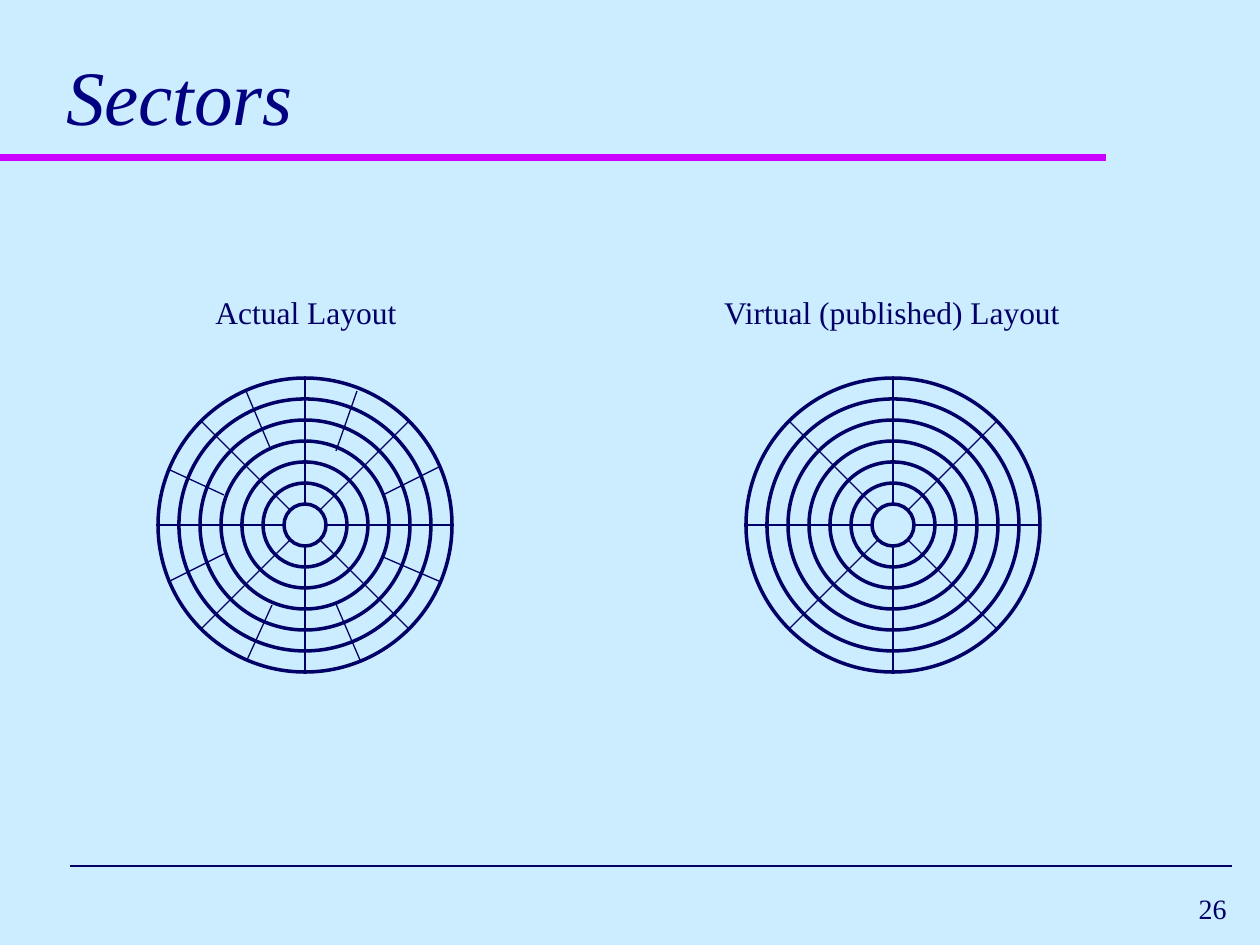
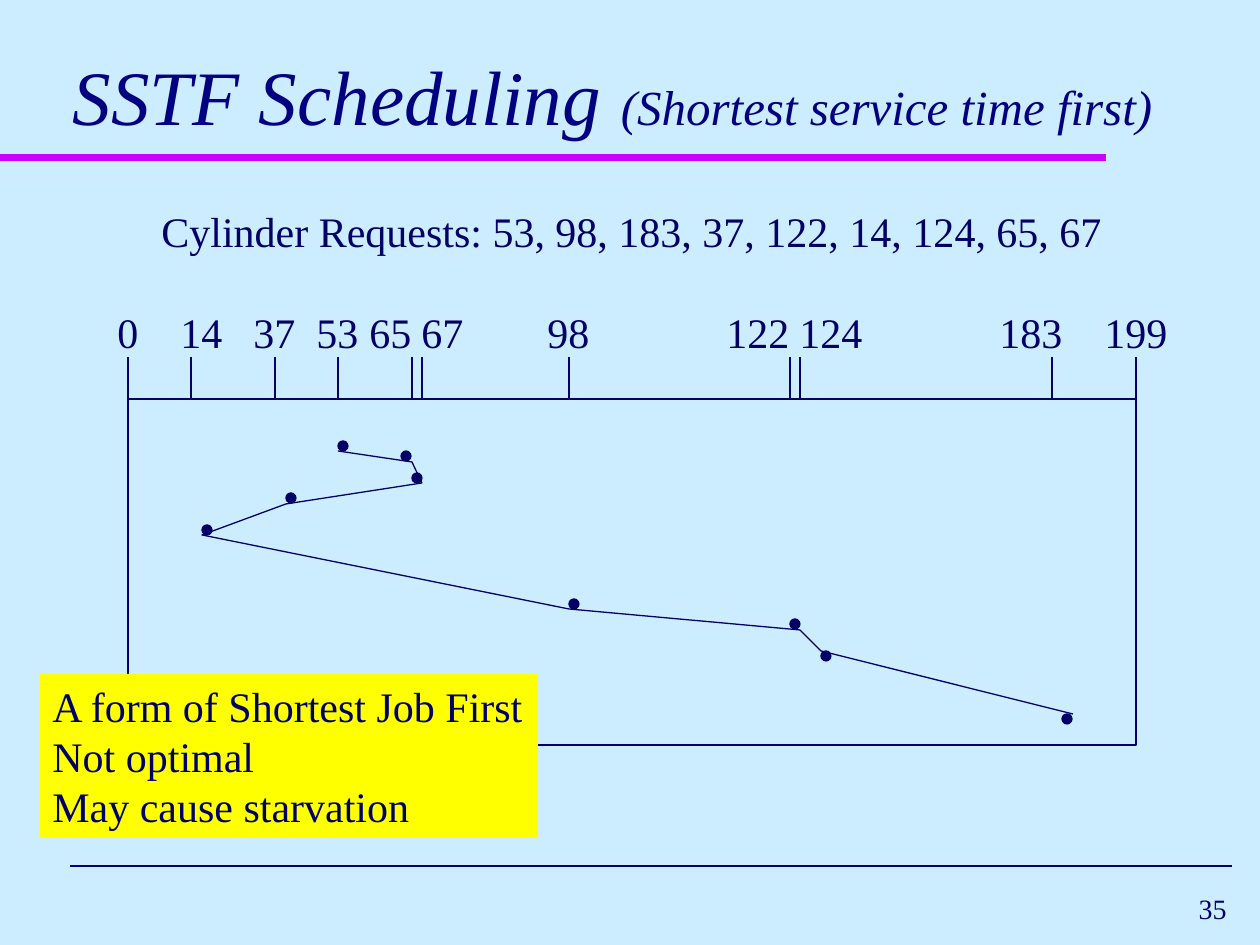
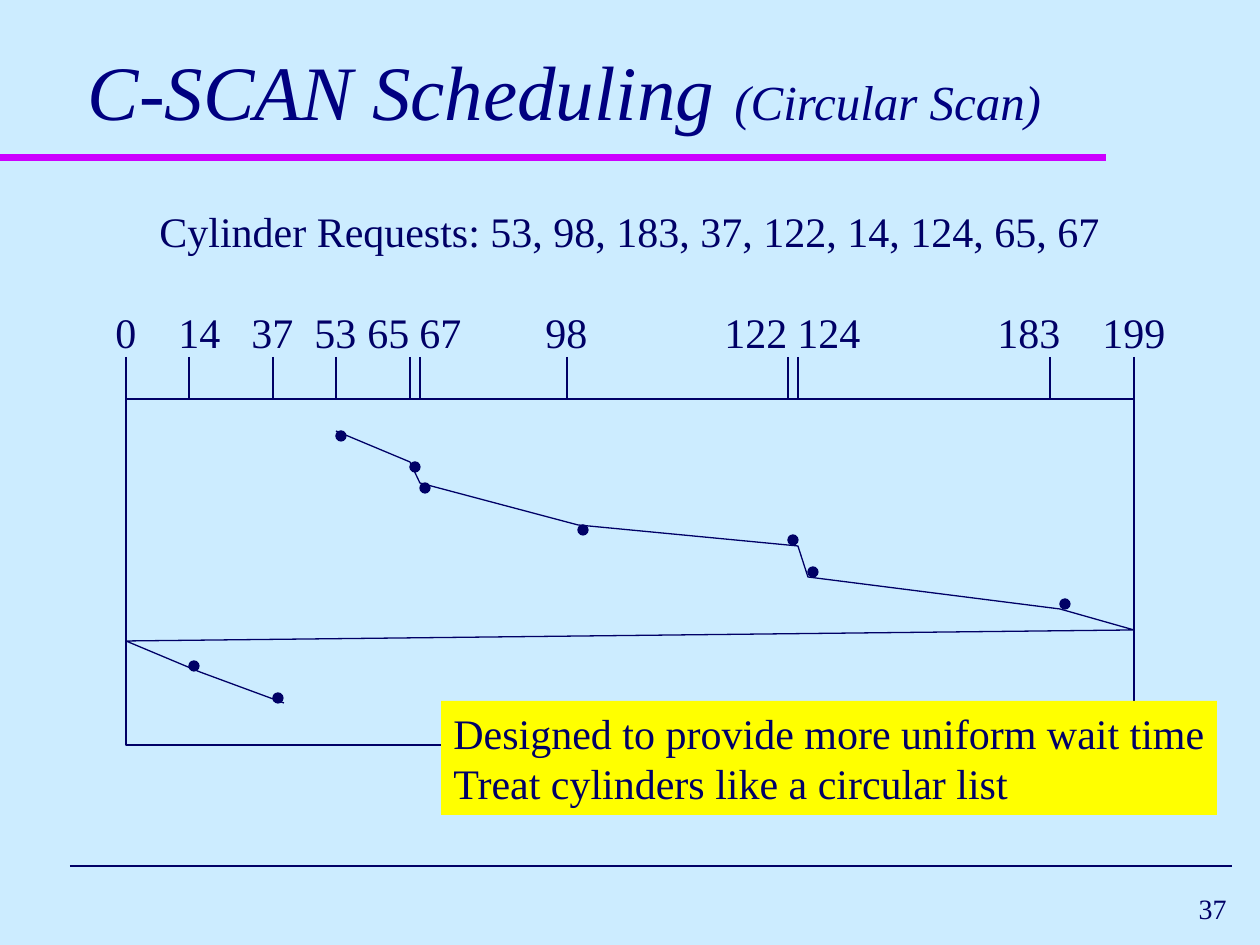
"""Build three slides on disk sectors and disk-arm scheduling."""
from dataclasses import dataclass
from math import cos, pi, sin

from lxml import etree
from pptx import Presentation
from pptx.dml.color import RGBColor
from pptx.enum.shapes import MSO_CONNECTOR, MSO_SHAPE
from pptx.enum.text import MSO_ANCHOR, PP_ALIGN
from pptx.oxml.ns import qn
from pptx.util import Pt

STRAIGHT = MSO_CONNECTOR.STRAIGHT
OVAL, RECT = MSO_SHAPE.OVAL, MSO_SHAPE.RECTANGLE
TOP, MIDDLE, BOTTOM = MSO_ANCHOR.TOP, MSO_ANCHOR.MIDDLE, MSO_ANCHOR.BOTTOM
LEFT, CENTER, RIGHT = PP_ALIGN.LEFT, PP_ALIGN.CENTER, PP_ALIGN.RIGHT
BLANK = 6
EMU_PER_PX = 914400 / 126


@dataclass(frozen=True)
class Theme:
    """Colours, font and sizes of the deck."""
    paper: RGBColor = RGBColor(0xCC, 0xEC, 0xFF)
    ink: RGBColor = RGBColor(0x00, 0x00, 0x66)
    title: RGBColor = RGBColor(0x00, 0x00, 0x80)
    accent: RGBColor = RGBColor(0xCC, 0x00, 0xFF)
    note: RGBColor = RGBColor(0xFF, 0xFF, 0x00)
    font: str = "Times New Roman"
    title_size: int = 44
    subtitle_size: int = 28
    body_size: int = 24
    caption_size: int = 18
    number_size: int = 16
    thin: float = 0.75
    track: float = 2


THEME = Theme()

RING_STEP = 21
RING_COUNT = 7
MINOR_SPOKES = [
    (441, 466, 383, 495), (357, 391, 336, 451), (246, 391, 271, 450),
    (170, 470, 224, 495), (168, 582, 226, 553), (247, 660, 272, 605),
    (360, 660, 336, 604), (441, 582, 383, 557),
]

REQUESTS = "Cylinder Requests: 53, 98, 183, 37, 122, 14, 124, 65, 67"
CYLINDERS = [0, 14, 37, 53, 65, 67, 98, 122, 124, 183, 199]
LABEL_TABS = [63, 136, 199, 252, 304, 430, 609, 682, 882, 987]
TICK_CELLS = [0, 6, 14, 20, 27, 28, 42, 63, 64, 88, 96]
FRAME_TOP, FRAME_CELLS_WIDE, FRAME_CELLS_HIGH = 399, 96, 33
TICK_TOP, DOT_SIZE = 357, 10

SSTF_PATH = [(20, 5), (27, 6), (28, 8), (15, 10), (7, 13), (42, 20),
             (64, 22), (66, 24), (90, 30)]
SSTF_DOTS = [(20, 4), (26, 5), (27, 7), (15, 9), (7, 12), (42, 19),
             (63, 21), (66, 24), (89, 30)]
CSCAN_PATH = [(20, 3), (27, 6), (28, 8), (43, 12), (64, 14), (65, 17),
              (89, 20), (96, 22), (0, 23), (7, 26), (15, 29)]
CSCAN_DOTS = [(20, 3), (27, 6), (28, 8), (43, 12), (63, 13), (65, 16),
              (89, 19), (6, 25), (14, 28)]


def px(n):
    """Turn px into EMU."""
    return round(n * EMU_PER_PX)


def cells(n):
    """Turn chart cells, two of which span 21 px, into px."""
    return round(n * 21 / 2)


def style_run(r, size, color=THEME.ink, italic=False):
    """Set the font of one run."""
    r.font.name, r.font.size, r.font.italic = THEME.font, Pt(size), italic
    r.font.color.rgb = color


def fill_text(tf, text, size, align=LEFT, anchor=TOP):
    """Write plain text into a frame."""
    tf.text = text
    tf.word_wrap = True
    tf.vertical_anchor = anchor
    for p in tf.paragraphs:
        p.alignment = align
        for r in p.runs:
            style_run(r, size)


def add_text(s, box, text, size, align=LEFT, anchor=TOP):
    """Add a text box and return its frame."""
    tf = s.shapes.add_textbox(*map(px, box)).text_frame
    fill_text(tf, text, size, align, anchor)
    return tf


def add_line(s, x1, y1, x2, y2, color=THEME.ink, width=THEME.thin):
    """Add a straight line without shadow."""
    line = s.shapes.add_connector(STRAIGHT, px(x1), px(y1), px(x2), px(y2))
    line.line.color.rgb = color
    line.line.width = Pt(width)
    etree.SubElement(line._element.spPr, qn("a:effectLst"))


def outline(sp, fill=None, width=THEME.thin):
    """Give a shape an ink outline and an optional fill."""
    sp.shadow.inherit = False
    if fill is None:
        sp.fill.background()
    else:
        sp.fill.solid()
        sp.fill.fore_color.rgb = fill
    sp.line.color.rgb = THEME.ink
    sp.line.width = Pt(width)


def add_shape(s, kind, box, fill=None, width=THEME.thin):
    """Add an outlined preset shape."""
    sp = s.shapes.add_shape(kind, *map(px, box))
    outline(sp, fill, width)
    return sp


def add_note(s, box, text):
    """Add a yellow note."""
    sp = add_shape(s, RECT, box, THEME.note)
    sp.line.fill.background()
    fill_text(sp.text_frame, text, THEME.body_size)


def add_title(s, box, title, subtitle):
    """Add the italic title with an optional smaller ending."""
    tf = add_text(s, box, title, THEME.title_size, anchor=BOTTOM)
    tf.margin_left = tf.margin_right = px(6)
    p = tf.paragraphs[0]
    p.line_spacing = 0.85
    style_run(p.runs[0], THEME.title_size, THEME.title, True)
    if subtitle:
        r = p.add_run()
        r.text = subtitle
        style_run(r, THEME.subtitle_size, THEME.title, True)


def new_slide(prs, number, title_box, title, subtitle=""):
    """Add a slide with rules, title and number."""
    s = prs.slides.add_slide(prs.slide_layouts[BLANK])
    add_line(s, 0, 158, 1106, 158, THEME.accent, 4)
    add_line(s, 70, 866, 1232, 866, width=1)
    add_title(s, title_box, title, subtitle)
    add_text(s, (977, 882, 262, 53), str(number), THEME.number_size,
             RIGHT, MIDDLE)
    return s


def add_disk(s, cx, cy):
    """Draw concentric tracks cut into eight sectors."""
    for ring in range(RING_COUNT, 0, -1):
        radius = ring * RING_STEP
        add_shape(s, OVAL, (cx - radius, cy - radius, 2 * radius, 2 * radius),
                  THEME.paper, THEME.track)
    outer = RING_COUNT * RING_STEP
    for i in range(8):
        dx, dy = cos(i * pi / 4), sin(i * pi / 4)
        add_line(s, cx + outer * dx, cy + outer * dy,
                 cx + RING_STEP * dx, cy + RING_STEP * dy)


def add_scale_labels(s, left):
    """Write the cylinder numbers on tab stops."""
    text = "\t".join(map(str, CYLINDERS))
    tf = add_text(s, (left - 23, 300, 1120, 63), text, THEME.body_size)
    tabs = etree.SubElement(tf.paragraphs[0]._p.get_or_add_pPr(),
                            qn("a:tabLst"))
    for stop in LABEL_TABS:
        etree.SubElement(tabs, qn("a:tab"), pos=str(px(stop)), algn="l")


def add_seek_chart(s, left, path, dots):
    """Draw the cylinder scale and the path of the disk arm."""
    add_text(s, (left + 21, 199, 1000, 63), REQUESTS, THEME.body_size)
    add_shape(s, RECT, (left, FRAME_TOP, cells(FRAME_CELLS_WIDE),
                        cells(FRAME_CELLS_HIGH)))
    for tick in TICK_CELLS:
        x = left + cells(tick)
        add_line(s, x, TICK_TOP, x, FRAME_TOP)
    add_scale_labels(s, left)
    points = [(px(left + cells(x)), px(FRAME_TOP + cells(y)))
              for x, y in path]
    builder = s.shapes.build_freeform(*points[0])
    builder.add_line_segments(points[1:], close=False)
    outline(builder.convert_to_shape())
    for x, y in dots:
        add_shape(s, OVAL, (left + cells(x), FRAME_TOP + cells(y),
                            DOT_SIZE, DOT_SIZE), THEME.ink)


def sectors_slide(prs):
    """Compare actual and published sector layouts."""
    s = new_slide(prs, 26, (60, 32, 1154, 115), "Sectors")
    for cx in (305, 893):
        add_disk(s, cx, 525)
    for spoke in MINOR_SPOKES:
        add_line(s, *spoke)
    for left, text in ((109, "Actual Layout"),
                       (695, "Virtual (published) Layout")):
        add_text(s, (left, 287, 394, 50), text, THEME.caption_size, CENTER)


def sstf_slide(prs):
    """Show shortest service time first."""
    s = new_slide(prs, 35, (67, 32, 1145, 115), "SSTF Scheduling ",
                  "(Shortest service time first)")
    add_seek_chart(s, 128, SSTF_PATH, SSTF_DOTS)
    add_note(s, (40, 674, 498, 164), "A form of Shortest Job First\n"
             "Not optimal\nMay cause starvation")


def cscan_slide(prs):
    """Show the circular scan."""
    s = new_slide(prs, 37, (82, 28, 1135, 115), "C-SCAN Scheduling ",
                  "(Circular Scan)")
    add_seek_chart(s, 126, CSCAN_PATH, CSCAN_DOTS)
    add_note(s, (441, 701, 776, 114),
             "Designed to provide more uniform wait time\n"
             "Treat cylinders like a circular list")


def main():
    """Build and save the deck."""
    prs = Presentation()
    prs.slide_width, prs.slide_height = px(1260), px(945)
    background = prs.slide_master.background.fill
    background.solid()
    background.fore_color.rgb = THEME.paper
    sectors_slide(prs)
    sstf_slide(prs)
    cscan_slide(prs)
    prs.save("out.pptx")


if __name__ == "__main__":
    main()
